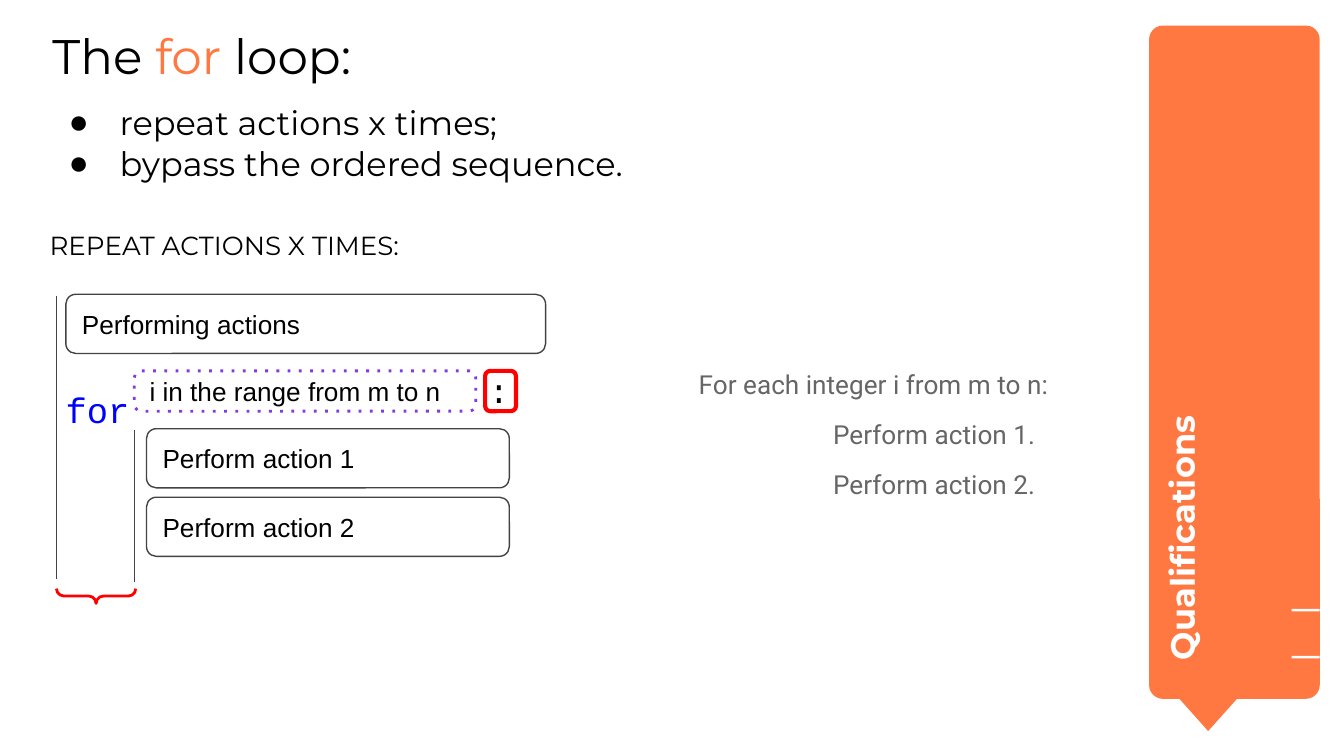
from dataclasses import dataclass

from lxml.etree import SubElement
from pptx import Presentation
from pptx.dml.color import RGBColor
from pptx.enum.shapes import MSO_CONNECTOR as Link, MSO_SHAPE as Kind
from pptx.enum.text import MSO_ANCHOR as Anchor, MSO_AUTO_SIZE as Fit, PP_ALIGN as Align
from pptx.oxml.ns import qn
from pptx.util import Inches, Pt


@dataclass(frozen=True)
class Theme:
    black: str = "000000"
    white: str = "FFFFFF"
    orange: str = "FF7842"
    dark: str = "434343"
    gray: str = "666666"
    blue: str = "0000FF"
    red: str = "FF0000"
    violet: str = "833AE0"
    head: str = "Montserrat"
    plain: str = "Arial"
    code: str = "Courier New"
    note: str = "Roboto"
    title: int = 26
    big: int = 18
    word: int = 19
    text: int = 14


@dataclass(frozen=True)
class Box:
    left: float
    top: float
    width: float
    height: float

    def place(self) -> tuple:
        return tuple(map(Inches, (self.left, self.top, self.width, self.height)))


@dataclass(frozen=True)
class Step:
    text: str
    box: Box
    line: str
    weight: float = 0.75
    dash: str = ""


T = Theme()
STEPS = [
    Step("Performing actions", Box(0.49, 2.19, 3.57, 0.44), T.dark),
    Step("i in the range from m to n", Box(1, 2.76, 2.54, 0.3), T.violet, 1.5, "dot"),
    *(Step(f"Perform action {n}", Box(1.09, 2.68 + 0.51 * n, 2.7, 0.44), T.dark)
      for n in (1, 2)),
]


def tint(code: str) -> RGBColor:
    return RGBColor.from_string(code)


def write(shape, lines: list, *, font: str, size: int, color: str = T.black,
          bold: bool = False, inset: float = 0.1, anchor=Anchor.TOP,
          spacing: float = 1, gap: float = 0, bullet: str = "") -> None:
    """Fill a shape; each line is a string or a list of (text, color) runs."""
    frame = shape.text_frame
    frame.word_wrap = True
    frame.auto_size = Fit.NONE
    frame.vertical_anchor = anchor
    frame.margin_left = frame.margin_right = Inches(inset)
    frame.margin_top = frame.margin_bottom = Inches(inset)
    for i, line in enumerate(lines):
        para = frame.paragraphs[0] if i == 0 else frame.add_paragraph()
        para.alignment = Align.LEFT
        para.line_spacing = spacing
        para.space_before = Pt(gap if i else 0)
        if bullet:
            mark(para, bullet, color)
        for text, shade in [(line, color)] if isinstance(line, str) else line:
            run = para.add_run()
            run.text = text
            run.font.name = font
            run.font.size = Pt(size)
            run.font.bold = bold
            run.font.color.rgb = tint(shade)


def indent(para, left: float, first: float = 0) -> None:
    props = para._p.get_or_add_pPr()
    props.set("marL", str(Inches(left)))
    props.set("indent", str(Inches(first)))


def mark(para, sign: str, color: str) -> None:
    indent(para, 0.5, -0.38)
    props = para._p.get_or_add_pPr()
    SubElement(SubElement(props, qn("a:buClr")), qn("a:srgbClr"), val=color)
    SubElement(props, qn("a:buFont"), typeface=T.plain)
    SubElement(props, qn("a:buChar"), char=sign)


def draw(slide, kind, box: Box, *, fill: str = "", line: str = "",
         weight: float = 0.75, dash: str = "", adjust: tuple = (), turn: int = 0):
    shape = slide.shapes.add_shape(kind, *box.place())
    shape.shadow.inherit = False
    shape.rotation = turn
    for i, value in enumerate(adjust):
        shape.adjustments[i] = value
    if fill:
        shape.fill.solid()
        shape.fill.fore_color.rgb = tint(fill)
    else:
        shape.fill.background()
    if line:
        shape.line.color.rgb = tint(line)
        shape.line.width = Pt(weight)
    else:
        shape.line.fill.background()
    if dash:
        SubElement(shape._element.spPr.find(qn("a:ln")), qn("a:prstDash"), val=dash)
    return shape


def rule(slide, x: float, top: float, end: float) -> None:
    """Draw an upright guide line."""
    line = slide.shapes.add_connector(Link.STRAIGHT, *map(Inches, (x, top, x, end)))
    line.line.color.rgb = tint(T.dark)
    line.line.width = Pt(0.75)
    SubElement(line._element.spPr, qn("a:effectLst"))


def label(slide, box: Box, lines: list, **style):
    shape = slide.shapes.add_textbox(*box.place())
    write(shape, lines, **style)
    return shape


def move(shape, box: Box) -> None:
    shape.left, shape.top, shape.width, shape.height = box.place()


def main() -> None:
    deck = Presentation()
    deck.slide_width = Inches(10)
    deck.slide_height = deck.slide_width * 9 // 16
    slide = deck.slides.add_slide(deck.slide_layouts[1])

    title, body = slide.placeholders
    move(title, Box(0.39, 0.19, 7.76, 0.44))
    write(title, [[("The ", T.black), ("for ", T.orange), ("loop:", T.black)]],
          font=T.head, size=T.title, inset=0)
    move(body, Box(0.39, 0.76, 7.76, 0.63))
    write(body, ["repeat actions x times;", "bypass the ordered sequence."],
          font=T.head, size=T.big, inset=0, bullet="●")

    draw(slide, Kind.ROUNDED_RECTANGLE, Box(8.55, 0.19, 1.27, 5.01),
         fill=T.orange, adjust=(0.081,))
    draw(slide, Kind.FLOWCHART_MERGE, Box(8.66, 5.07, 0.66, 0.37), fill=T.orange)
    side = label(slide, Box(7.09, 2.64, 3.82, 0.92), ["Qualifications"],
                 font=T.head, size=T.big, color=T.white, bold=True)
    side.rotation = 270
    for top in (4.53, 4.88):
        draw(slide, Kind.RECTANGLE, Box(9.61, top, 0.21, 0.02), fill=T.white)

    label(slide, Box(0.27, 1.61, 3.28, 0.4), ["REPEAT ACTIONS X TIMES:"],
          font=T.head, size=T.text)
    label(slide, Box(0.39, 2.63, 4.71, 0.51), ["for"],
          font=T.code, size=T.word, color=T.blue, spacing=1.5)
    rule(slide, 0.42, 2.2, 4.31)
    rule(slide, 1, 3.2, 4.33)
    draw(slide, Kind.RIGHT_BRACE, Box(0.66, 4.14, 0.11, 0.59),
         line=T.red, weight=1.5, adjust=(0.5, 0.5), turn=90)

    for step in STEPS:
        shape = draw(slide, Kind.ROUNDED_RECTANGLE, step.box, fill=T.white,
                     line=step.line, weight=step.weight, dash=step.dash)
        write(shape, [step.text], font=T.plain, size=T.text, anchor=Anchor.MIDDLE)

    label(slide, Box(3.54, 2.65, 0.53, 0.51), [":"], font=T.code, size=T.big)
    draw(slide, Kind.ROUNDED_RECTANGLE, Box(3.61, 2.76, 0.23, 0.3),
         line=T.red, weight=2.25)

    note = label(slide, Box(5.1, 2.64, 3.18, 2.04),
                 ["For each integer i from m to n:", "Perform action 1.",
                  "Perform action 2."],
                 font=T.note, size=T.text, color=T.gray, gap=10)
    for para in note.text_frame.paragraphs[1:]:
        indent(para, 1)

    deck.save("out.pptx")


if __name__ == "__main__":
    main()
